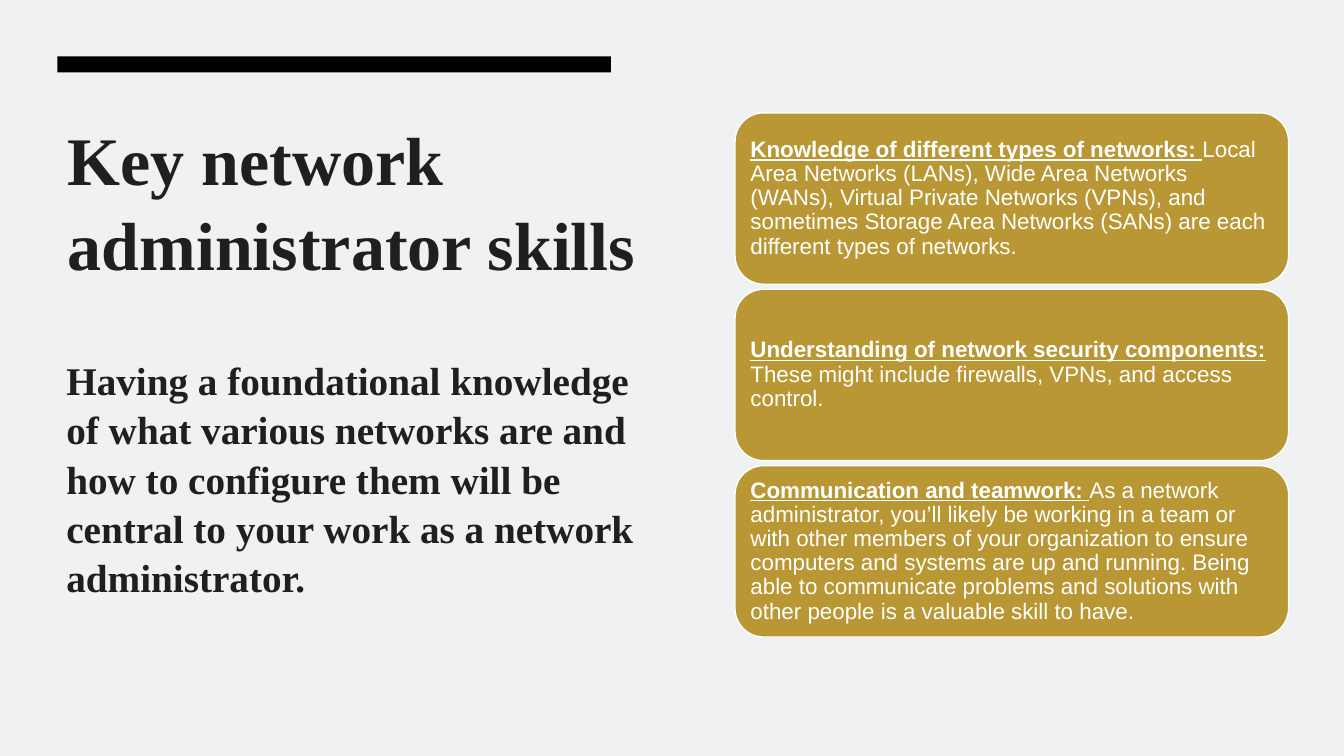
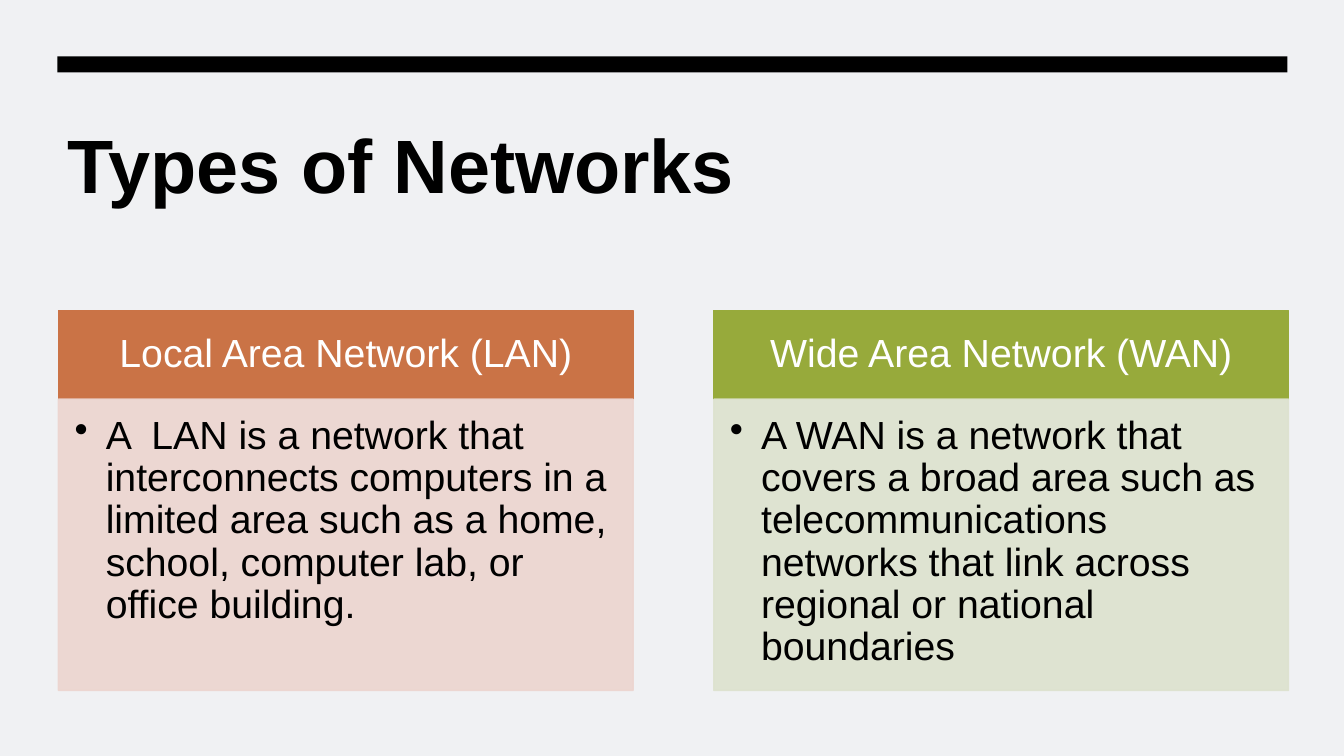
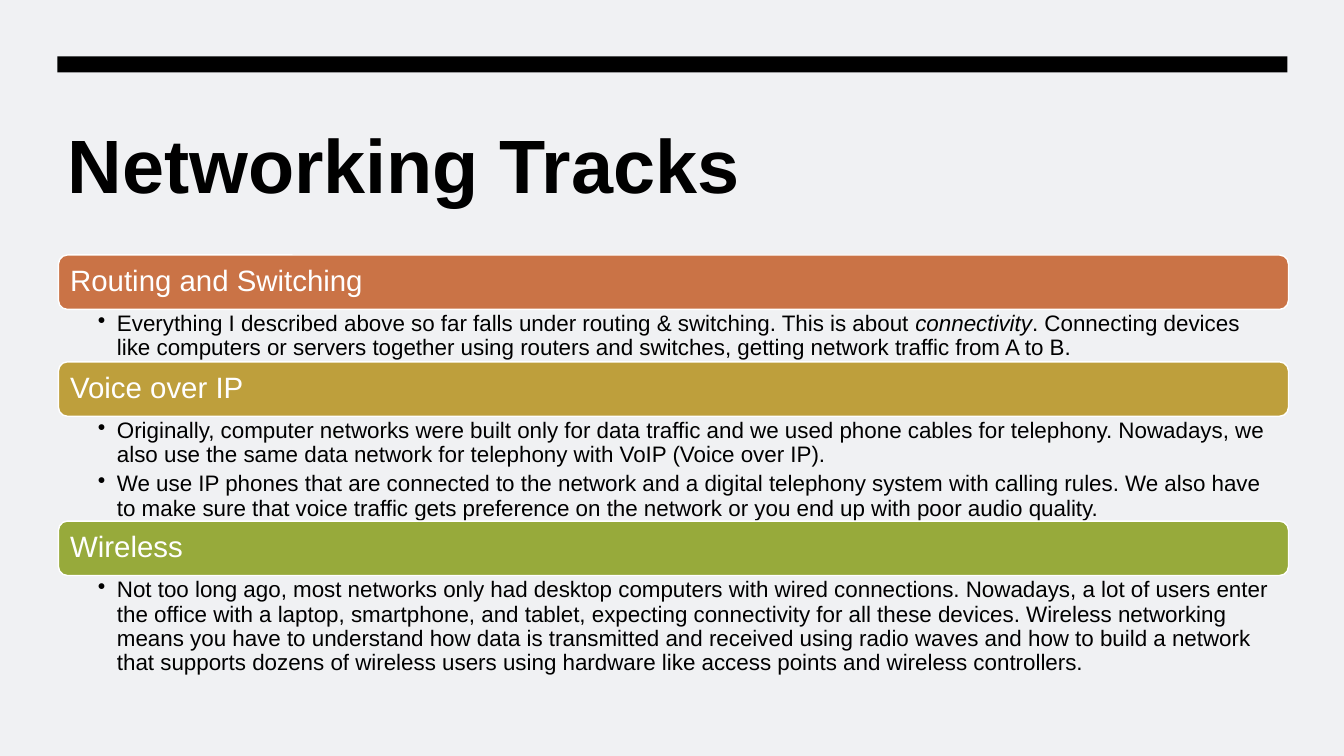
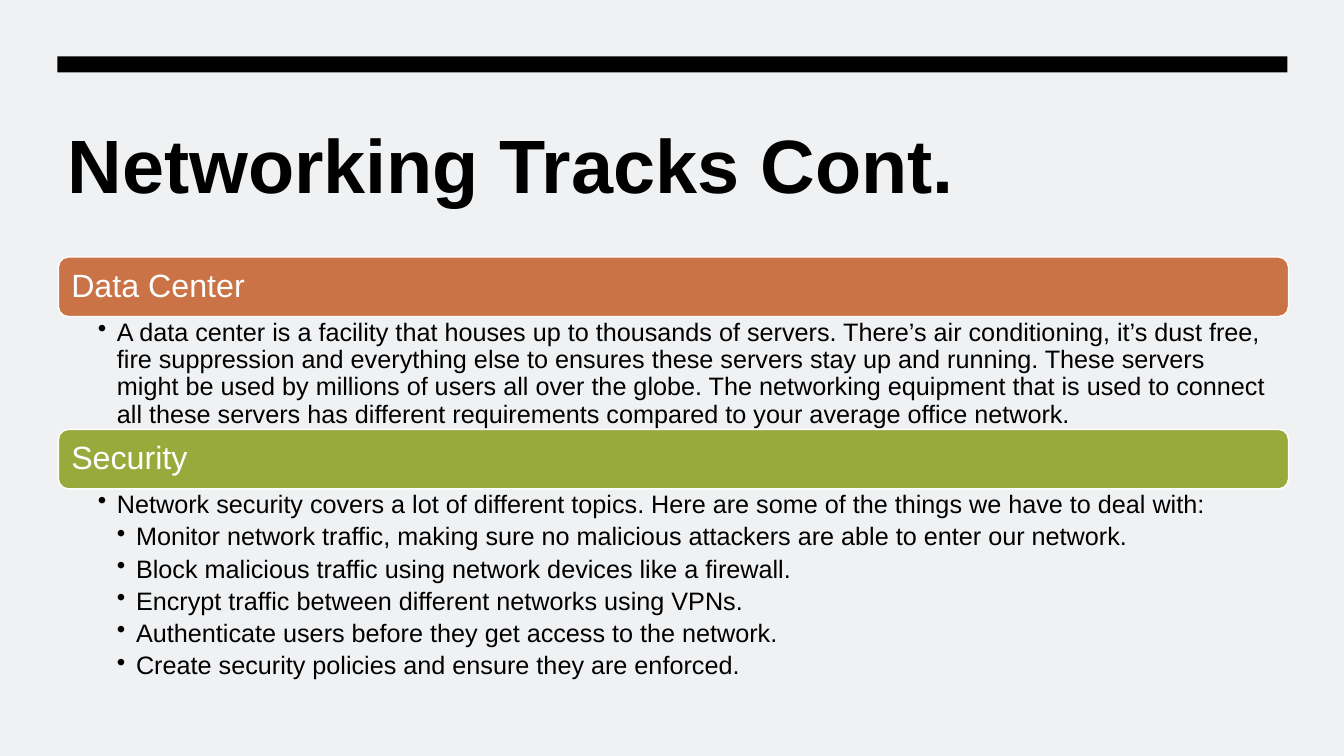
from pptx import Presentation
from pptx.dml.color import RGBColor
from pptx.enum.shapes import MSO_SHAPE
from pptx.enum.text import MSO_ANCHOR, MSO_AUTO_SIZE, PP_ALIGN
from pptx.oxml.ns import qn
from pptx.util import Inches, Pt
from lxml import etree

RECT, ROUNDED = MSO_SHAPE.RECTANGLE, MSO_SHAPE.ROUNDED_RECTANGLE
TOP, MIDDLE = MSO_ANCHOR.TOP, MSO_ANCHOR.MIDDLE
LEFT, CENTER = PP_ALIGN.LEFT, PP_ALIGN.CENTER
NO_AUTOFIT = MSO_AUTO_SIZE.NONE

BACKGROUND = RGBColor(0xF0, 0xF1, 0xF3)
BLACK = RGBColor(0, 0, 0)
WHITE = RGBColor(0xFF, 0xFF, 0xFF)
INK = RGBColor(0x1F, 0x1F, 0x1F)
DARK_GOLD = RGBColor(0xB8, 0x97, 0x34)
GOLD = RGBColor(0xBE, 0x9F, 0x3C)
ORANGE = RGBColor(0xCA, 0x73, 0x46)
GREEN = RGBColor(0x97, 0xAA, 0x3B)
PALE_ORANGE = RGBColor(0xEC, 0xD5, 0xCF)
PALE_GREEN = RGBColor(0xDD, 0xE2, 0xCE)

SANS, SERIF = "Arial", "Times New Roman"
MARGIN = 0.57
FULL_WIDTH = 12.2
PANEL_LEFT = 0.58
HEADING = {"bold": True, "underline": True}
ITALIC = {"italic": True}

# A paragraph is (bullet level, text) or (bullet level, [(text, run style), ...]).
SKILLS_TITLE = "Key network administrator skills"
SKILLS_INTRO = ("Having a foundational knowledge of what various networks are and how to "
                "configure them will be central to your work as a network administrator.")
SKILLS = [
    ("Knowledge of different types of networks: ",
     "Local Area Networks (LANs), Wide Area Networks (WANs), Virtual Private Networks (VPNs), "
     "and sometimes Storage Area Networks (SANs) are each different types of networks."),
    ("Understanding of network security components: ",
     "These might include firewalls, VPNs, and access control."),
    ("Communication and teamwork: ",
     "As a network administrator, you’ll likely be working in a team or with other members of "
     "your organization to ensure computers and systems are up and running. Being able to "
     "communicate problems and solutions with other people is a valuable skill to have."),
]

NETWORK_TYPES = [
    ("Local Area Network (LAN)", ORANGE, PALE_ORANGE,
     "A  LAN is a network that interconnects computers in a limited area such as a home, "
     "school, computer lab, or office building."),
    ("Wide Area Network (WAN)", GREEN, PALE_GREEN,
     "A WAN is a network that covers a broad area such as telecommunications networks that "
     "link across regional or national boundaries"),
]

TRACK_SLIDES = [
    {"title": "Networking Tracks", "top": 2.53, "band": 0.54, "pad": 0.09,
     "band_size": 21, "size": 16, "right": 0.16,
     "tracks": [
         ("Routing and Switching", ORANGE, 0.52, [
             (1, [("Everything I described above so far falls under routing & switching. "
                   "This is about ", {}),
                  ("connectivity", ITALIC),
                  (". Connecting devices like computers or servers together using routers and "
                   "switches, getting network traffic from A to B.", {})])]),
         ("Voice over IP", GOLD, 1.04, [
             (1, "Originally, computer networks were built only for data traffic and we used "
                 "phone cables for telephony. Nowadays, we also use the same data network for "
                 "telephony with VoIP (Voice over IP)."),
             (1, "We use IP phones that are connected to the network and a digital telephony "
                 "system with calling rules. We also have to make sure that voice traffic gets "
                 "preference on the network or you end up with poor audio quality.")]),
         ("Wireless", GREEN, 1.0, [
             (1, "Not too long ago, most networks only had desktop computers with wired "
                 "connections. Nowadays, a lot of users enter the office with a laptop, "
                 "smartphone, and tablet, expecting connectivity for all these devices. "
                 "Wireless networking means you have to understand how data is transmitted and "
                 "received using radio waves and how to build a network that supports dozens of "
                 "wireless users using hardware like access points and wireless "
                 "controllers.")]),
     ]},
    {"title": "Networking Tracks Cont.", "top": 2.55, "band": 0.59, "pad": 0.1,
     "band_size": 23, "size": 18, "right": 0.18,
     "tracks": [
         ("Data Center", ORANGE, 1.12, [
             (1, "A data center is a facility that houses up to thousands of servers. There’s "
                 "air conditioning, it’s dust free, fire suppression and everything else to "
                 "ensures these servers stay up and running. These servers might be used by "
                 "millions of users all over the globe. The networking equipment that is used "
                 "to connect all these servers has different requirements compared to your "
                 "average office network.")]),
         ("Security", GREEN, 1.93, [
             (1, "Network security covers a lot of different topics. Here are some of the "
                 "things we have to deal with:"),
             (2, "Monitor network traffic, making sure no malicious attackers are able to "
                 "enter our network."),
             (2, "Block malicious traffic using network devices like a firewall."),
             (2, "Encrypt traffic between different networks using VPNs."),
             (2, "Authenticate users before they get access to the network."),
             (2, "Create security policies and ensure they are enforced.")]),
     ]},
]


def write(shape, paragraphs, size, color=BLACK, font=SANS, bold=False, align=LEFT,
          anchor=TOP, insets=(0.1, 0.05, 0.1, 0.05), spacing=0.9, after=0, indent=0.0):
    """Fill a shape with text; insets are left, top, right, bottom."""
    frame = shape.text_frame
    frame.word_wrap = True
    frame.auto_size = NO_AUTOFIT
    frame.vertical_anchor = anchor
    (frame.margin_left, frame.margin_top,
     frame.margin_right, frame.margin_bottom) = map(Inches, insets)
    for index, (level, content) in enumerate(paragraphs):
        paragraph = frame.add_paragraph() if index else frame.paragraphs[0]
        if level:
            paragraph.level = level
            properties = paragraph._p.get_or_add_pPr()
            properties.set("marL", str(Inches(indent * level)))
            properties.set("indent", str(-Inches(indent)))
            etree.SubElement(properties, qn("a:buChar")).set("char", "•")
        paragraph.alignment = align
        paragraph.line_spacing = spacing
        paragraph.space_before = Pt(0)
        paragraph.space_after = Pt(after)
        for text, style in [(content, {})] if isinstance(content, str) else content:
            run = paragraph.add_run()
            run.text = text
            run.font.name = font
            run.font.size = Pt(size)
            run.font.color.rgb = color
            run.font.bold = style.get("bold", bold)
            run.font.underline = style.get("underline", False)
            run.font.italic = style.get("italic", False)


def add_panel(slide, kind, left, top, width, height, fill, line=None, opacity=100):
    panel = slide.shapes.add_shape(kind, *map(Inches, (left, top, width, height)))
    panel.shadow.inherit = False
    panel.fill.solid()
    panel.fill.fore_color.rgb = fill
    if line is None:
        panel.line.fill.background()
    else:
        panel.line.color.rgb = line
        panel.line.width = Pt(1)
    if opacity < 100:
        for color in panel._element.spPr.iter(qn("a:srgbClr")):
            etree.SubElement(color, qn("a:alpha")).set("val", str(opacity * 1000))
    return panel


def add_text_box(slide, left, top, width, height):
    return slide.shapes.add_textbox(*map(Inches, (left, top, width, height)))


def add_titled_slide(deck, heading, bar_width=FULL_WIDTH, title_width=FULL_WIDTH,
                     size=54, color=BLACK, font=SANS):
    slide = deck.slides.add_slide(deck.slide_layouts[5])
    add_panel(slide, RECT, MARGIN, 0.56, bar_width, 0.16, BLACK)
    title = slide.shapes.title
    title.left, title.top, title.width, title.height = map(
        Inches, (MARGIN, 1.07, title_width, 1.8))
    write(title, [(0, heading)], size, color, font, bold=True, spacing=1.05)
    return slide


def add_skills_slide(deck):
    slide = add_titled_slide(deck, SKILLS_TITLE, bar_width=5.49, title_width=6.1,
                             size=48.6, color=INK, font=SERIF)
    for index, (heading, detail) in enumerate(SKILLS):
        card = add_panel(slide, ROUNDED, 7.29, 1.12 + 1.75 * index, 5.49, 1.7,
                         DARK_GOLD, WHITE)
        write(card, [(0, [(heading, HEADING), (detail, {})])], 16, WHITE,
              anchor=MIDDLE, insets=(0.07,) * 4)
    intro = add_text_box(slide, 0.56, 3.46, 5.94, 2.76)
    write(intro, [(0, SKILLS_INTRO)], 28, INK, SERIF, bold=True, spacing=1.05)


def add_types_slide(deck):
    slide = add_titled_slide(deck, "Types of Networks")
    for index, (heading, strong, pale, detail) in enumerate(NETWORK_TYPES):
        left = PANEL_LEFT + 6.5 * index
        header = add_panel(slide, RECT, left, 3.08, 5.7, 0.88, strong, strong)
        write(header, [(0, heading)], 28, WHITE, align=CENTER, anchor=MIDDLE,
              insets=(0.22, 0.12, 0.22, 0.12))
        body = add_panel(slide, RECT, left, 3.96, 5.7, 2.89, pale, pale, opacity=90)
        write(body, [(1, detail)], 28, insets=(0.16, 0.16, 0.22, 0.24), indent=0.31)


def add_tracks_slide(deck, content):
    slide = add_titled_slide(deck, content["title"])
    top = content["top"]
    for heading, color, body_height, points in content["tracks"]:
        band = add_panel(slide, ROUNDED, PANEL_LEFT, top, FULL_WIDTH, content["band"],
                         color, WHITE)
        write(band, [(0, heading)], content["band_size"], WHITE, anchor=MIDDLE,
              insets=(content["pad"],) * 4)
        top += content["band"]
        body = add_text_box(slide, PANEL_LEFT, top, FULL_WIDTH, body_height)
        write(body, points, content["size"], insets=(0.39, 0.03, content["right"], 0.03),
              after=3.6, indent=0.19)
        top += body_height


def main():
    deck = Presentation()
    deck.slide_width, deck.slide_height = Inches(13.33), Inches(7.5)
    backdrop = deck.slide_master.background.fill
    backdrop.solid()
    backdrop.fore_color.rgb = BACKGROUND
    add_skills_slide(deck)
    add_types_slide(deck)
    for content in TRACK_SLIDES:
        add_tracks_slide(deck, content)
    deck.save("out.pptx")


if __name__ == "__main__":
    main()
